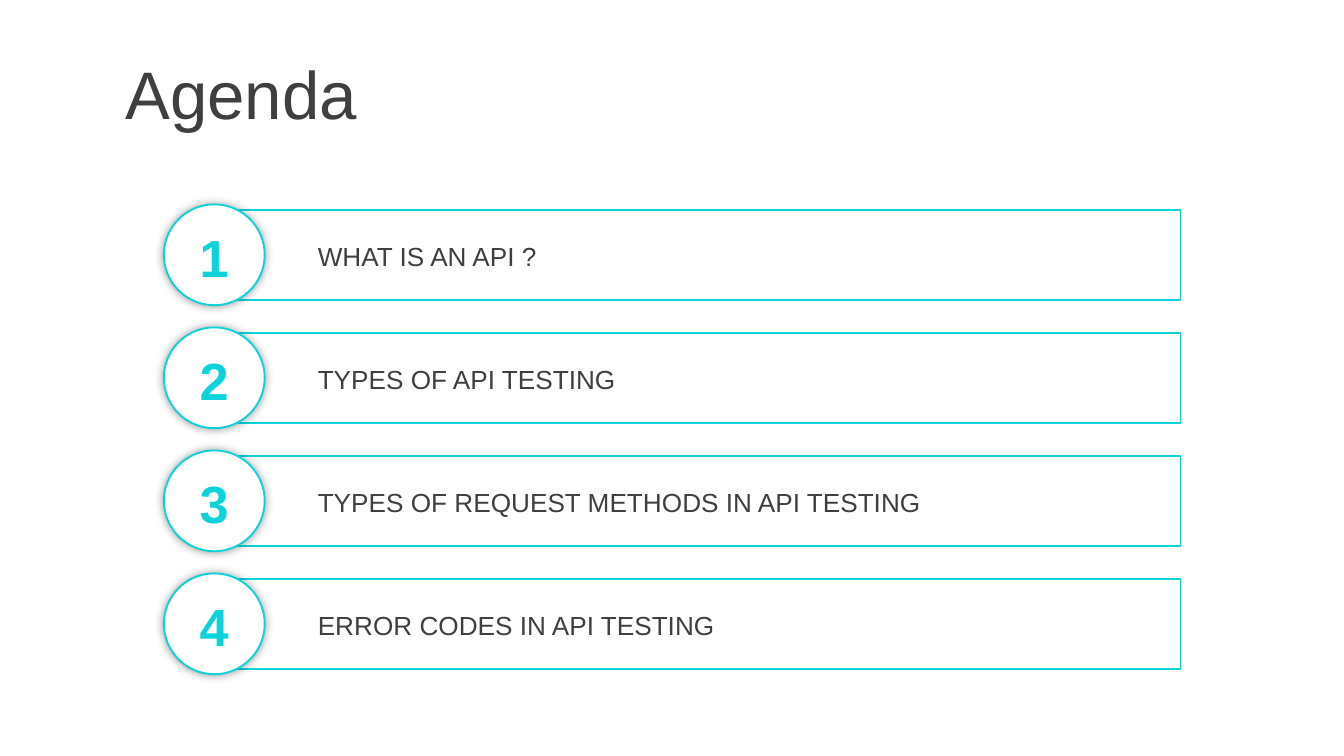
from lxml import etree
from pptx import Presentation
from pptx import util as u
from pptx.dml.color import RGBColor
from pptx.enum import shapes, text
from pptx.oxml import ns

Pt = u.Pt
CYAN = RGBColor(0x0D, 0xD2, 0xD9)
GREY = RGBColor(0x3F, 0x3F, 0x3F)
WHITE = RGBColor(0xFF, 0xFF, 0xFF)

TITLE_FORMAT = {"name": "Arial", "size": Pt(36), "bold": False}
TOPIC_FORMAT = {"name": "Arial", "size": Pt(14), "bold": False}
NUMBER_FORMAT = {"name": "Arial", "size": Pt(28), "bold": True}

TOPICS = (
    "WHAT IS AN API ?",
    "TYPES OF API TESTING",
    "TYPES OF REQUEST METHODS IN API TESTING",
    "ERROR CODES IN API TESTING",
)
FIRST_TOP = 109.5
ROW_STEP = 65.9


def add_label(slide, box, wording, font_format, color, alignment=text.PP_ALIGN.LEFT):
    """Add a vertically centred text box with one formatted run."""
    shape = slide.shapes.add_textbox(*map(Pt, box))
    frame_format = {"word_wrap": True, "vertical_anchor": text.MSO_ANCHOR.MIDDLE}
    for name, value in frame_format.items():
        setattr(shape.text_frame, name, value)
    paragraph = shape.text_frame.paragraphs[0]
    paragraph.alignment = alignment
    run = paragraph.add_run()
    run.text = wording
    for name, value in font_format.items():
        setattr(run.font, name, value)
    run.font.color.rgb = color


def add_outlined(slide, kind, box, fill=None):
    """Add a cyan-outlined shape, unfilled unless a fill colour is given."""
    shape = slide.shapes.add_shape(kind, *map(Pt, box))
    shape.shadow.inherit = False
    if fill is None:
        shape.fill.background()
    else:
        shape.fill.solid()
        shape.fill.fore_color.rgb = fill
    shape.line.color.rgb = CYAN
    shape.line.width = Pt(1)
    return shape


def add_glow_shadow(shape):
    """Put a soft, centred black shadow behind the shape."""
    effects = shape._element.spPr.find(ns.qn("a:effectLst"))
    shadow = etree.SubElement(
        effects, ns.qn("a:outerShdw"), blurRad=str(Pt(5)), dist="0", dir="0",
        algn="ctr", rotWithShape="0")
    color = etree.SubElement(shadow, ns.qn("a:srgbClr"), val="000000")
    etree.SubElement(color, ns.qn("a:alpha"), val="40000")


def add_agenda_row(slide, top, number, topic):
    """Add one bar with its topic and numbered circle."""
    add_outlined(slide, shapes.MSO_SHAPE.RECTANGLE, (114.6, top + 3, 517.8, 48.3))
    add_label(slide, (163.2, top + 15.5, 452, 24.2), topic, TOPIC_FORMAT, GREY)
    circle = add_outlined(slide, shapes.MSO_SHAPE.OVAL, (87.8, top, 54, 54), WHITE)
    add_glow_shadow(circle)
    add_label(slide, (97.7, top + 7.2, 34, 41.2), str(number), NUMBER_FORMAT, CYAN,
              text.PP_ALIGN.CENTER)


def main():
    """Build and save the agenda slide."""
    presentation = Presentation()
    presentation.slide_width = Pt(720)
    presentation.slide_height = Pt(405)
    slide = presentation.slides.add_slide(presentation.slide_layouts[6])
    add_label(slide, (60, 27, 660, 45), "Agenda", TITLE_FORMAT, GREY)
    for index, topic in enumerate(TOPICS):
        add_agenda_row(slide, FIRST_TOP + index * ROW_STEP, index + 1, topic)
    presentation.save("out.pptx")


if __name__ == "__main__":
    main()
